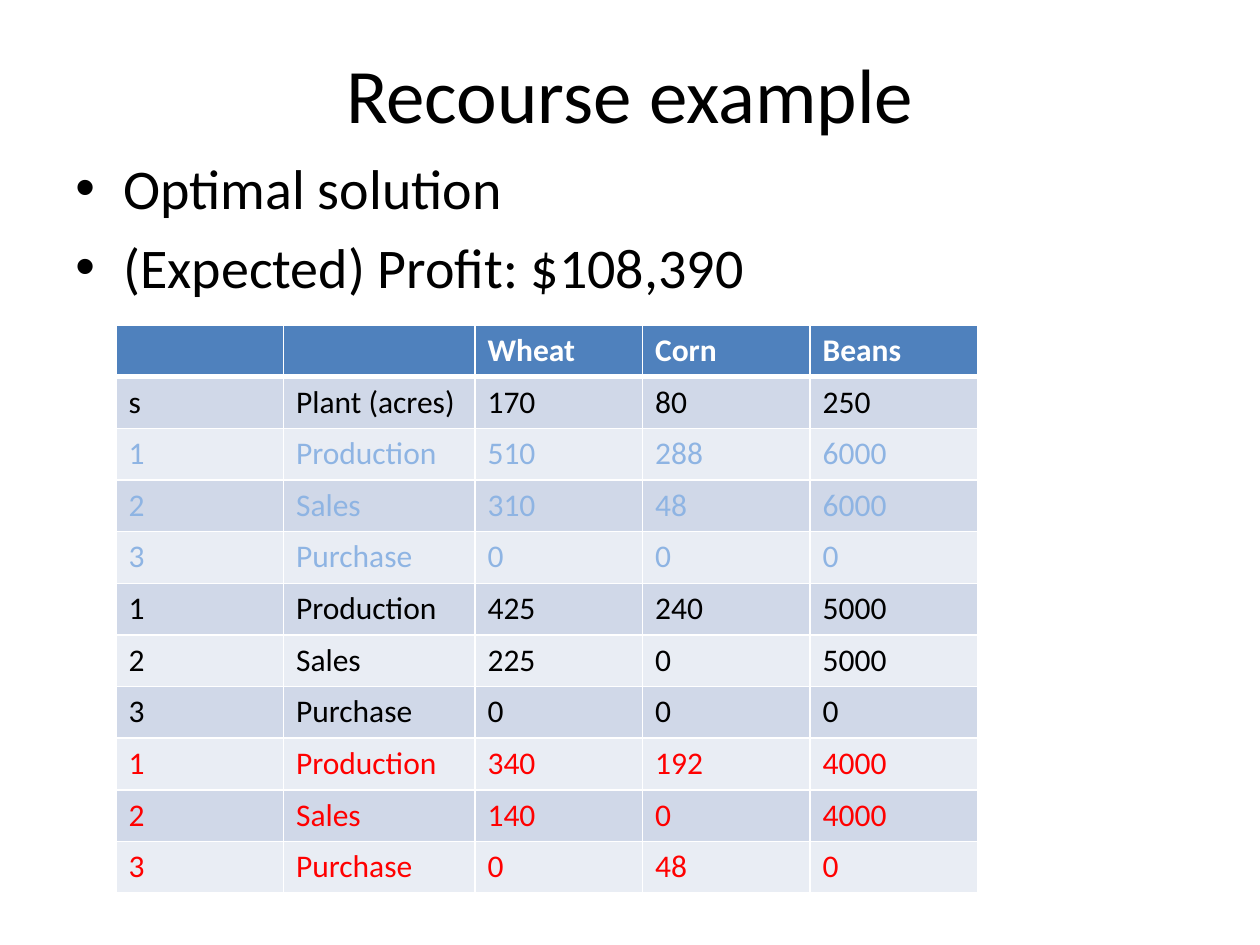
from dataclasses import dataclass

from lxml import etree
from pptx import Presentation
from pptx.dml.color import RGBColor
from pptx.enum.text import MSO_ANCHOR, PP_ALIGN
from pptx.oxml.ns import qn
from pptx.util import Emu, Inches, Pt

CENTER, LEFT = PP_ALIGN.CENTER, PP_ALIGN.LEFT
MIDDLE = MSO_ANCHOR.MIDDLE

FONT = "Calibri"
BLACK = RGBColor(0x00, 0x00, 0x00)
WHITE = RGBColor(0xFF, 0xFF, 0xFF)
RED = RGBColor(0xFF, 0x00, 0x00)
LIGHT_BLUE = RGBColor(0x8E, 0xB4, 0xE3)
HEADER_FILL = RGBColor(0x4F, 0x81, 0xBD)
BAND_FILLS = (RGBColor(0xD0, 0xD8, 0xE8), RGBColor(0xE9, 0xED, 0xF4))

COLUMN_WIDTHS = (1.33, 1.52, 1.33, 1.33, 1.33)
ROW_HEIGHT = 0.41
BULLETS = ("Optimal solution", "(Expected) Proﬁt: $108,390")
ACTIVITIES = ("Production", "Sales", "Purchase")


@dataclass(frozen=True)
class Scenario:
    """Crop amounts (wheat, corn, beans) for each activity."""
    color: RGBColor
    amounts: tuple[tuple[int, int, int], ...]


@dataclass(frozen=True)
class TableRow:
    values: tuple[str, ...]
    color: RGBColor = BLACK


SCENARIOS = (
    Scenario(LIGHT_BLUE, ((510, 288, 6000), (310, 48, 6000), (0, 0, 0))),
    Scenario(BLACK, ((425, 240, 5000), (225, 0, 5000), (0, 0, 0))),
    Scenario(RED, ((340, 192, 4000), (140, 0, 4000), (0, 48, 0))),
)


def format_paragraph(paragraph, size: int, color: RGBColor,
                     bold: bool = False, align=LEFT) -> None:
    paragraph.alignment = align
    font = paragraph.font
    font.name, font.size, font.bold = FONT, Pt(size), bold
    font.color.rgb = color


def add_bullet(paragraph, indent: Emu) -> None:
    properties = paragraph._p.get_or_add_pPr()
    properties.set("marL", str(indent))
    properties.set("indent", str(-indent))
    etree.SubElement(properties, qn("a:buFont"), typeface="Arial")
    etree.SubElement(properties, qn("a:buChar"), char="•")


def add_border(cell, side: str, points: int) -> None:
    line = etree.SubElement(cell._tc.get_or_add_tcPr(), qn(f"a:ln{side}"),
                            w=str(Pt(points)))
    fill = etree.SubElement(line, qn("a:solidFill"))
    etree.SubElement(fill, qn("a:srgbClr"), val=str(WHITE))


def table_rows() -> list[TableRow]:
    rows = [TableRow(("", "", "Wheat", "Corn", "Beans"), WHITE),
            TableRow(("s", "Plant (acres)", "170", "80", "250"))]
    for scenario in SCENARIOS:
        activities = zip(ACTIVITIES, scenario.amounts)
        for number, (activity, amounts) in enumerate(activities, start=1):
            values = (str(number), activity, *map(str, amounts))
            rows.append(TableRow(values, scenario.color))
    return rows


def add_title(slide) -> None:
    title = slide.shapes.title
    title.left, title.top = Inches(0.5), Inches(0.3)
    title.width, title.height = Inches(9), Inches(0.87)
    title.text_frame.text = "Recourse example"
    title.text_frame.vertical_anchor = MIDDLE
    format_paragraph(title.text_frame.paragraphs[0], 44, BLACK, align=CENTER)


def add_bullets(slide) -> None:
    body = slide.shapes.add_textbox(Inches(0.5), Inches(1.17),
                                    Inches(9), Inches(5.53))
    frame = body.text_frame
    frame.word_wrap = True
    frame.text = "\n".join(BULLETS)
    for paragraph in frame.paragraphs:
        paragraph.space_before = Pt(6.4)
        add_bullet(paragraph, Inches(0.38))
        format_paragraph(paragraph, 32, BLACK)


def add_solution_table(slide) -> None:
    rows = table_rows()
    table = slide.shapes.add_table(
        len(rows), len(COLUMN_WIDTHS), Inches(0.92), Inches(2.58),
        Inches(sum(COLUMN_WIDTHS)), Inches(ROW_HEIGHT * len(rows))).table
    for column, width in zip(table.columns, COLUMN_WIDTHS):
        column.width = Inches(width)
    for row_index, row in enumerate(rows):
        table.rows[row_index].height = Inches(ROW_HEIGHT)
        header = row_index == 0
        for column_index, value in enumerate(row.values):
            cell = table.cell(row_index, column_index)
            cell.text = value
            format_paragraph(cell.text_frame.paragraphs[0], 18, row.color, header)
            # A thick rule separates the header from the data
            for side in "LRTB":
                thick = (header and side == "B") or (row_index == 1 and side == "T")
                add_border(cell, side, 3 if thick else 1)
            cell.fill.solid()
            cell.fill.fore_color.rgb = (
                HEADER_FILL if header else BAND_FILLS[(row_index - 1) % 2])


def main() -> None:
    presentation = Presentation()
    presentation.slide_width, presentation.slide_height = Inches(10), Inches(7.5)
    title_only = presentation.slide_layouts[5]
    slide = presentation.slides.add_slide(title_only)
    add_title(slide)
    add_bullets(slide)
    add_solution_table(slide)
    presentation.save("out.pptx")


if __name__ == "__main__":
    main()
